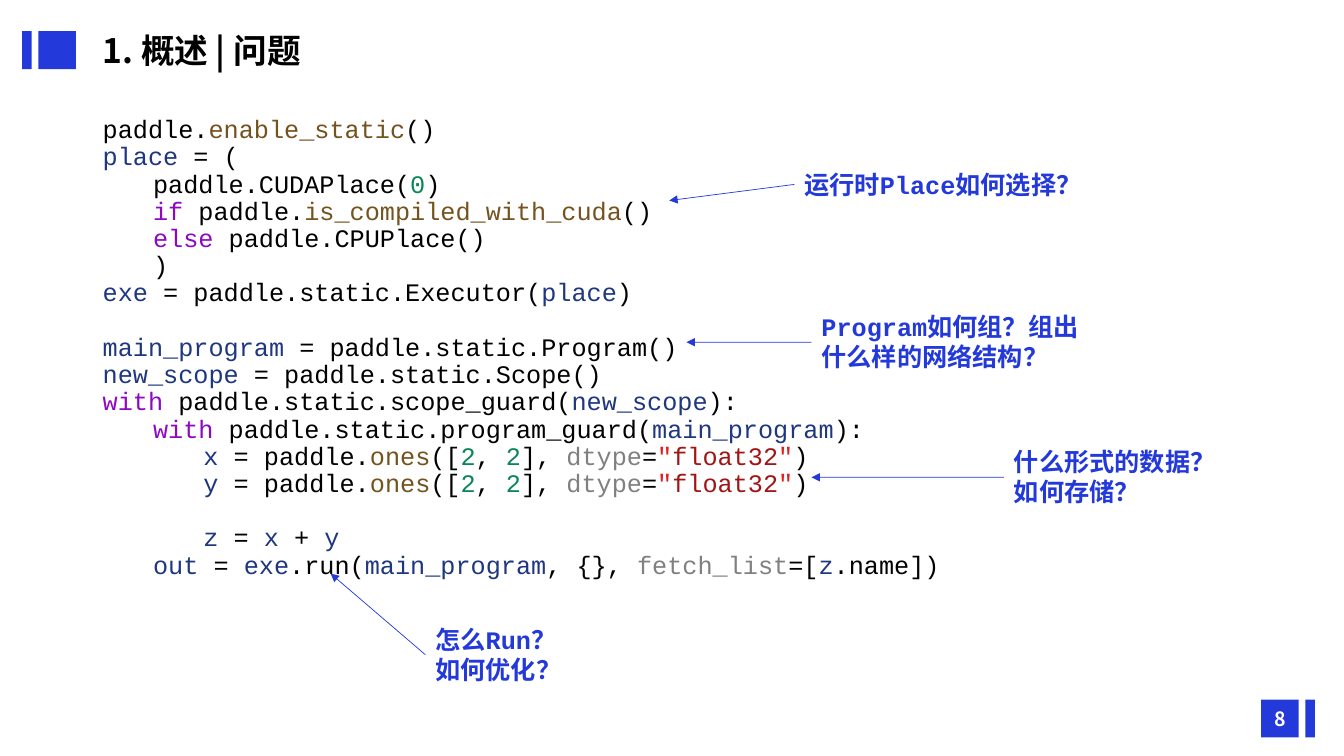
"""Build the overview slide: a static-graph code sample with four questions pointing at it."""
from pptx import Presentation, util as u
from pptx.dml.color import RGBColor
from pptx.enum import shapes, text
from pptx.oxml.ns import qn
from lxml import etree

BLUE = RGBColor(0x23, 0x39, 0xDA)
WHITE = RGBColor(0xFF, 0xFF, 0xFF)
BLACK = RGBColor(0, 0, 0)
VARIABLE = RGBColor(0x1F, 0x37, 0x7F)
FUNCTION = RGBColor(0x74, 0x53, 0x1F)
KEYWORD = RGBColor(0x8F, 0x08, 0xC4)
NUMBER = RGBColor(0x09, 0x86, 0x58)
ARGUMENT = RGBColor(0x80, 0x80, 0x80)
QUOTE = RGBColor(0xE2, 0x1F, 0x1F)
STRING = RGBColor(0xA3, 0x15, 0x15)
SANS, MONO = "Noto Sans CJK SC", "Courier New"
LINE_SPACING = 0.9

presentation = Presentation()
presentation.slide_width, presentation.slide_height = u.Inches(13.33), u.Inches(7.5)
COLUMN, ROW = presentation.slide_width / 100, presentation.slide_height / 100
slide = presentation.slides.add_slide(presentation.slide_layouts[6])


def add_text(left, top, width, height, anchor=text.MSO_ANCHOR.TOP):
    """Add a wrapping text box placed on the grid."""
    box = slide.shapes.add_textbox(*map(int, (left * COLUMN, top * ROW, width * COLUMN, height * ROW)))
    box.text_frame.word_wrap = True
    box.text_frame.vertical_anchor = anchor
    return box


def set_font(paragraph, name, size, bold, color=None):
    """Set the font of a whole paragraph, East Asian letters included."""
    font = paragraph.font
    font.name, font.size, font.bold = name, u.Pt(size), bold
    if color is not None:
        font.color.rgb = color
    properties = paragraph._p.pPr.find(qn("a:defRPr"))
    properties.find(qn("a:latin")).addnext(etree.Element(qn("a:ea"), typeface=SANS))


for left, top, width in ((2.85, 4.13, 2.8), (1.65, 4.13, 0.7), (93.83, 92.53, 2.8), (97.13, 92.53, 0.7)):
    bar = slide.shapes.add_shape(
        shapes.MSO_SHAPE.RECTANGLE, *map(int, (left * COLUMN, top * ROW, width * COLUMN, 5 * ROW)))
    bar.shadow.inherit = False
    bar.fill.solid()
    bar.fill.fore_color.rgb = BLUE
    bar.line.fill.background()

number = add_text(93.23, 92.4, 4.05, 5.33, text.MSO_ANCHOR.MIDDLE).text_frame.paragraphs[0]
number.text = "8"
number.alignment = text.PP_ALIGN.CENTER
set_font(number, SANS, 14, True, WHITE)

title = add_text(6.9, 5.07, 69.5, 3.87, text.MSO_ANCHOR.MIDDLE).text_frame.paragraphs[0]
title.text = "1. 概述 | 问题"
title.line_spacing = LINE_SPACING
set_font(title, SANS, 24, True, BLACK)

ones = [(" = paddle.", BLACK), ("ones", FUNCTION), ("([", BLACK), ("2", NUMBER), (", ", BLACK),
        ("2", NUMBER), ("], ", BLACK), ("dtype", ARGUMENT), ("=", BLACK), ('"', QUOTE),
        ("float32", STRING), ('"', QUOTE), (")", BLACK)]
code = [
    (0, [("paddle.", BLACK), ("enable_static", FUNCTION), ("()", BLACK)]),
    (0, [("place", VARIABLE), (" = (", BLACK)]),
    (1, [("paddle.CUDAPlace(", BLACK), ("0", NUMBER), (")", BLACK)]),
    (1, [("if ", KEYWORD), ("paddle.", BLACK), ("is_compiled_with_cuda", FUNCTION), ("()", BLACK)]),
    (1, [("else ", KEYWORD), ("paddle.CPUPlace()", BLACK)]),
    (1, [(")", BLACK)]),
    (0, [("exe", VARIABLE), (" = paddle.static.Executor(", BLACK), ("place", VARIABLE), (")", BLACK)]),
    (0, [("\n", BLACK), ("main_program", VARIABLE), (" = paddle.static.Program()", BLACK)]),
    (0, [("new_scope", VARIABLE), (" = paddle.static.Scope()", BLACK)]),
    (0, [("with ", KEYWORD), ("paddle.static.scope_guard(", BLACK), ("new_scope", VARIABLE), ("):", BLACK)]),
    (1, [("with ", KEYWORD), ("paddle.static.program_guard(", BLACK), ("main_program", VARIABLE),
         ("):", BLACK)]),
    (2, [("x", VARIABLE)] + ones),
    (2, [("y", VARIABLE)] + ones),
    (2, [("\n", BLACK), ("z", VARIABLE), (" = ", BLACK), ("x", VARIABLE), (" + ", BLACK), ("y", VARIABLE)]),
    (1, [("out", VARIABLE), (" = ", BLACK), ("exe", VARIABLE), (".run(", BLACK),
         ("main_program", VARIABLE), (", {}, ", BLACK), ("fetch_list", ARGUMENT), ("=[", BLACK),
         ("z", VARIABLE), (".name])", BLACK)]),
]
frame = add_text(6.9, 14.8, 86.25, 75.2).text_frame
for index, (level, tokens) in enumerate(code):
    paragraph = frame.add_paragraph() if index else frame.paragraphs[0]
    paragraph.level = level
    paragraph.line_spacing = LINE_SPACING
    paragraph._p.get_or_add_pPr().set("marL", str(u.Inches(level / 2)))
    set_font(paragraph, MONO, 18, False)
    for token, color in tokens:
        if token == "\n":
            paragraph.add_line_break()
        else:
            run = paragraph.add_run()
            run.text = token
            run.font.color.rgb = color

questions = [
    (74.7, 58.4, 9.47, ["什么形式的数据？", "如何存储？"], 60.38, 63.14),
    (60.38, 40.53, 9.47, ["Program如何组？组出什么样的网络结构？"], 51.08, 45.27),
    (59.1, 21.73, 5.33, ["运行时Place如何选择？"], 49.8, 26.53),
    (31.65, 81.87, 9.47, ["怎么Run？", "如何优化？"], 24.6, 75.87),
]
for left, top, height, lines, tip_column, tip_row in questions:
    question = add_text(left, top, 21.75, height)
    question.text_frame.text = "\n".join(lines)
    for paragraph in question.text_frame.paragraphs:
        set_font(paragraph, MONO, 18, True, BLUE)
    arrow = slide.shapes.add_connector(
        shapes.MSO_CONNECTOR.STRAIGHT, 0, 0, int(tip_column * COLUMN), int(tip_row * ROW))
    arrow.begin_connect(question, 1)
    arrow.line.color.rgb = BLUE
    arrow.line.width = u.Pt(0.5)
    etree.SubElement(arrow.line._get_or_add_ln(), qn("a:tailEnd"), type="triangle")
    etree.SubElement(arrow._element.spPr, qn("a:effectLst"))

presentation.save("out.pptx")
